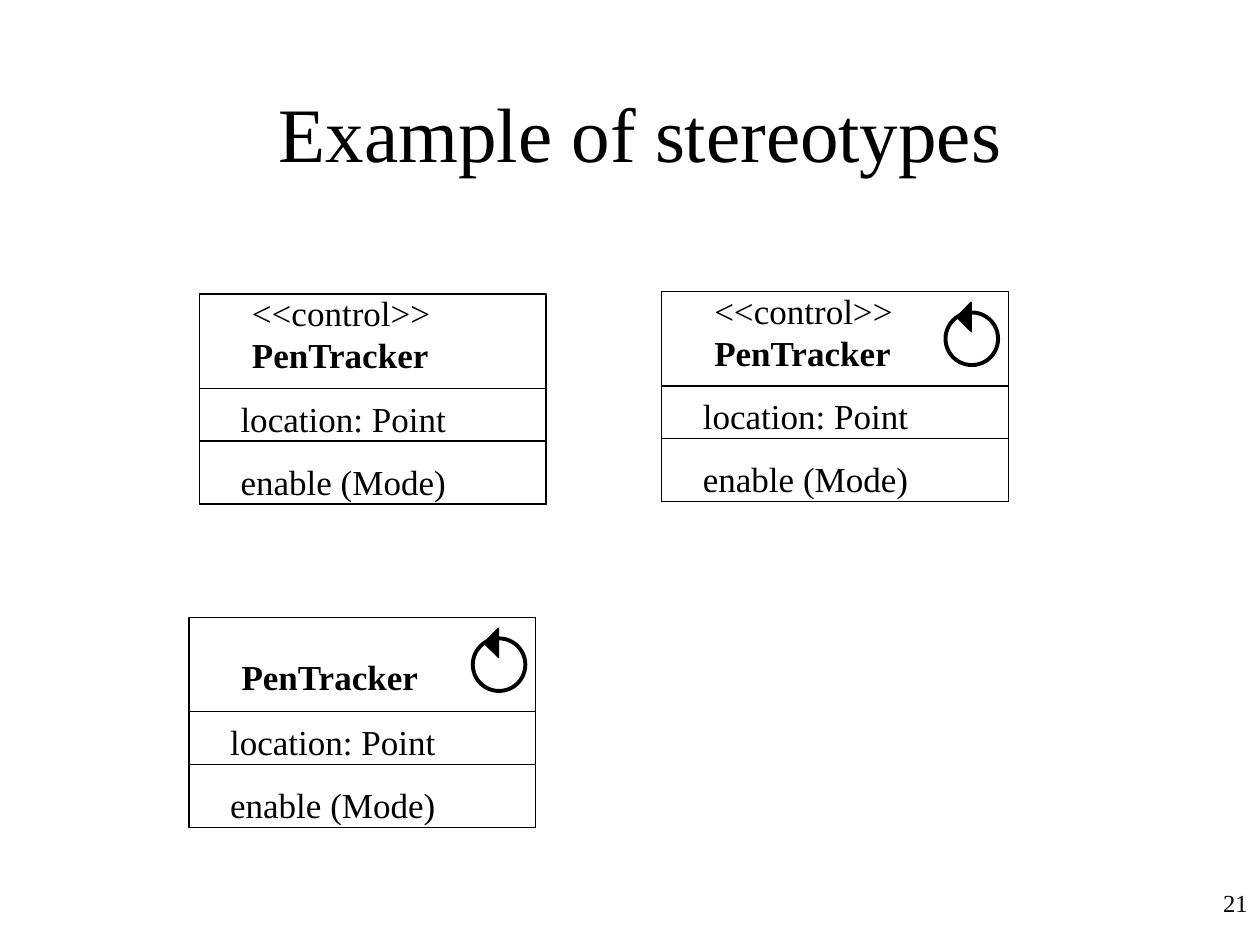
import pptx
import pptx.util
import pptx.dml.color
import pptx.enum.shapes
import pptx.enum.text
from dataclasses import dataclass

Cm, Pt = pptx.util.Cm, pptx.util.Pt
RGB = pptx.dml.color.RGBColor
MSO = pptx.enum.shapes.MSO_SHAPE
ALIGN = pptx.enum.text.PP_ALIGN
ANCHOR = pptx.enum.text.MSO_ANCHOR
AUTO = pptx.enum.text.MSO_AUTO_SIZE


@dataclass
class Theme:
    font: str = "Times New Roman"
    ink: RGB = RGB(0, 0, 0)
    paper: RGB = RGB(255, 255, 255)
    title: int = 44
    body: int = 20
    number: int = 14
    thin: float = 0.75
    thick: float = 2.25


theme = Theme()


def write(tf, lines, size, align, bold=(), **frame):
    for name, value in frame.items():
        setattr(tf, name, value)
    for i, line in enumerate(lines):
        p = tf.paragraphs[0] if i == 0 else tf.add_paragraph()
        p.alignment = align
        r = p.add_run()
        r.text = line
        fmt = {"name": theme.font, "size": Pt(size), "bold": line in bold}
        for name, value in fmt.items():
            setattr(r.font, name, value)
        r.font.color.rgb = theme.ink


def draw(shapes, kind, x, y, w, h, fill, width, rotation=0):
    sp = shapes.add_shape(kind, Cm(x), Cm(y), Cm(w), Cm(h))
    sp.shadow.inherit = False
    sp.rotation = rotation
    sp.fill.solid()
    sp.fill.fore_color.rgb = fill
    sp.line.color.rgb = theme.ink
    sp.line.width = Pt(width)


prs = pptx.Presentation()
prs.slide_width, prs.slide_height = Cm(25.4), Cm(19.05)
s = prs.slides.add_slide(prs.slide_layouts[5])

number = s.shapes.add_textbox(Cm(20.12), Cm(17.78), Cm(5.28), Cm(1.27))
write(number.text_frame, ["21"], theme.number, ALIGN.RIGHT, word_wrap=True)

title = s.shapes.title
place = {"left": Cm(2.12), "top": Cm(1.06), "width": Cm(21.59), "height": Cm(3.18)}
for name, value in place.items():
    setattr(title, name, value)
write(title.text_frame, ["Example of stereotypes"], theme.title, ALIGN.CENTER,
      vertical_anchor=ANCHOR.MIDDLE, word_wrap=True, auto_size=AUTO.NONE)

box_w, box_h = 6.99, 4.23
compartments = [0, 1.9, 2.96]
members = [("location: Point", 1.95), ("enable (Mode)", 3.22)]
line_h = 0.81

classes = [
    (4.02, 5.93, ["<<control>>", "PenTracker"], False),
    (13.34, 5.88, ["<<control>>", "PenTracker"], True),
    (3.81, 12.45, ["PenTracker"], True),
]

for x, y, heading, has_icon in classes:
    group = s.shapes.add_group_shape().shapes
    for dy in compartments:
        draw(group, MSO.RECTANGLE, x, y + dy, box_w, box_h - dy, theme.paper, theme.thin)
    if has_icon:
        draw(group, MSO.OVAL, x + 5.72, y + 0.42, 1.06, 1.06, theme.paper, theme.thick, 44.7)
        draw(group, MSO.RIGHT_TRIANGLE, x + 6.03, y + 0.3, 0.42, 0.42, theme.ink, theme.thin, 44.7)
    heading_top = -0.17 + line_h * (2 - len(heading))
    labels = [(heading, 0.81, heading_top, 4.11, 1.79 - heading_top)]
    labels += [([text], 0.58, dy, 4.65, 1.12) for text, dy in members]
    for lines, dx, dy, w, h in labels:
        tb = group.add_textbox(Cm(x + dx), Cm(y + dy), Cm(w), Cm(h))
        write(tb.text_frame, lines, theme.body, ALIGN.LEFT, bold=("PenTracker",),
              word_wrap=False, auto_size=AUTO.SHAPE_TO_FIT_TEXT)

prs.save("out.pptx")
